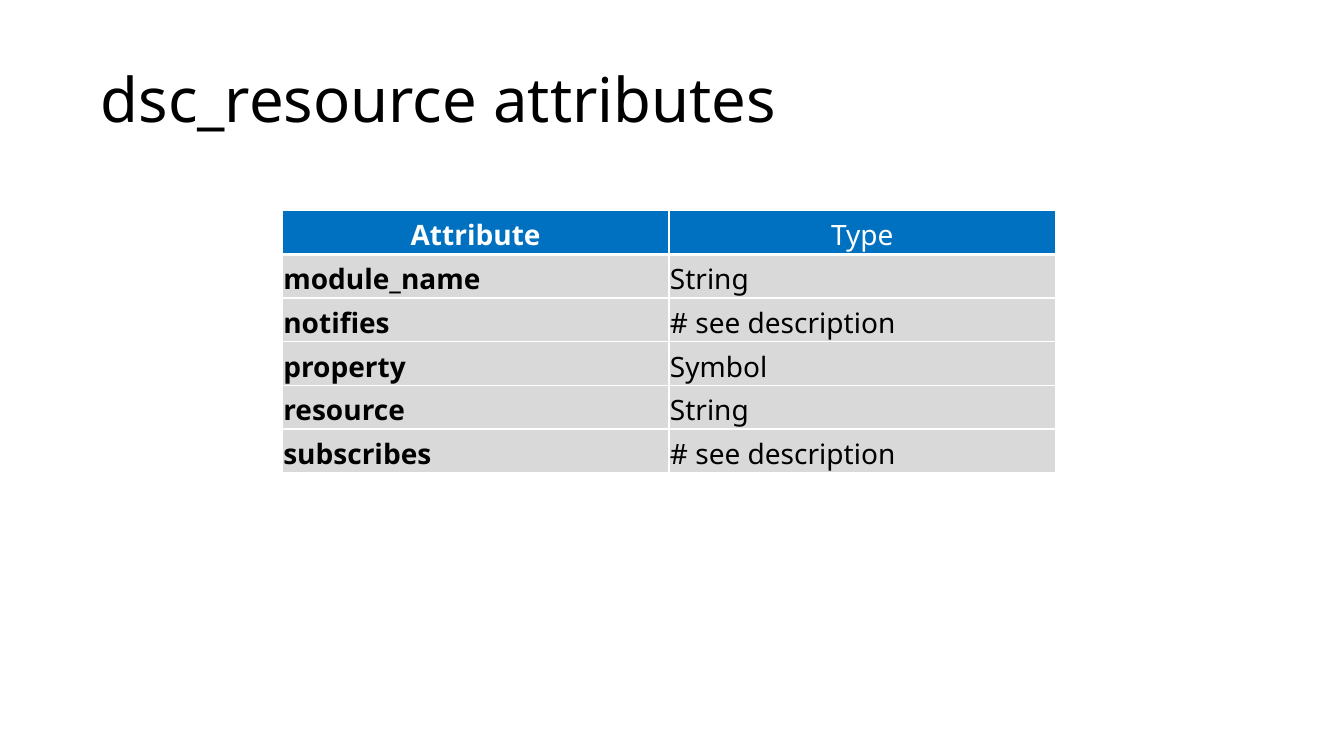
import lxml.etree
import pptx
import pptx.dml.color
import pptx.enum.text
import pptx.oxml.ns
import pptx.util

Inches = pptx.util.Inches
Pt = pptx.util.Pt
Anchor = pptx.enum.text.MSO_ANCHOR
Align = pptx.enum.text.PP_ALIGN
qn = pptx.oxml.ns.qn

BLACK = pptx.dml.color.RGBColor(0x00, 0x00, 0x00)
WHITE = pptx.dml.color.RGBColor(0xFF, 0xFF, 0xFF)
HEADER_BLUE = pptx.dml.color.RGBColor(0x00, 0x70, 0xC0)
BODY_GRAY = pptx.dml.color.RGBColor(0xD9, 0xD9, 0xD9)

ATTRIBUTES = [
    ("Attribute", "Type"),
    ("module_name", "String"),
    ("notifies", "# see description"),
    ("property", "Symbol"),
    ("resource", "String"),
    ("subscribes", "# see description"),
]


class SlideBuilder:
    font_name = "Noto Sans"
    title_size = Pt(44)
    table_size = Pt(20)

    def __init__(self, slide):
        self.slide = slide

    def set_text(self, paragraph, text, size, color, bold=False):
        paragraph.text = text
        paragraph.font.name = self.font_name
        paragraph.font.size = size
        paragraph.font.bold = bold
        paragraph.font.color.rgb = color

    def add_title(self, text, left, top, width, height):
        shape = self.slide.shapes.add_textbox(left, top, width, height)
        frame = shape.text_frame
        frame.word_wrap = True
        frame.vertical_anchor = Anchor.MIDDLE
        paragraph = frame.paragraphs[0]
        self.set_text(paragraph, text, self.title_size, BLACK)
        paragraph.line_spacing = 0.9

    def add_borders(self, cell, bottom_width):
        properties = cell._tc.get_or_add_tcPr()
        widths = {"lnL": Pt(1), "lnR": Pt(1), "lnT": Pt(1), "lnB": bottom_width}
        for index, (tag, width) in enumerate(widths.items()):
            line = lxml.etree.Element(qn(f"a:{tag}"), w=str(width))
            fill = lxml.etree.SubElement(line, qn("a:solidFill"))
            lxml.etree.SubElement(fill, qn("a:srgbClr"), val=str(WHITE))
            properties.insert(index, line)

    def fill_cell(self, cell, text, is_header, is_first_column):
        cell.fill.solid()
        cell.fill.fore_color.rgb = HEADER_BLUE if is_header else BODY_GRAY
        paragraph = cell.text_frame.paragraphs[0]
        color = WHITE if is_header else BLACK
        self.set_text(paragraph, text, self.table_size, color, is_first_column)
        if is_header:
            paragraph.alignment = Align.CENTER
        else:
            cell.vertical_anchor = Anchor.BOTTOM
            cell.margin_left = cell.margin_right = cell.margin_top = Inches(0.01)
            cell.margin_bottom = 0
        self.add_borders(cell, Pt(3) if is_header else Pt(1))

    def add_table(self, rows, left, top, width, height):
        frame = self.slide.shapes.add_table(
            len(rows), len(rows[0]), left, top, width, height
        )
        table = frame.table
        table.horz_banding = False
        for row_index, row in enumerate(rows):
            for column_index, text in enumerate(row):
                cell = table.cell(row_index, column_index)
                self.fill_cell(cell, text, row_index == 0, column_index == 0)


presentation = pptx.Presentation()
presentation.slide_width = Inches(13.33)
presentation.slide_height = Inches(7.5)
builder = SlideBuilder(presentation.slides.add_slide(presentation.slide_layouts[6]))
builder.add_title(
    "dsc_resource attributes", Inches(0.9), Inches(0.29), Inches(11.5), Inches(1.45)
)
builder.add_table(ATTRIBUTES, Inches(2.8), Inches(2.09), Inches(7.67), Inches(2.6))
presentation.save("out.pptx")
